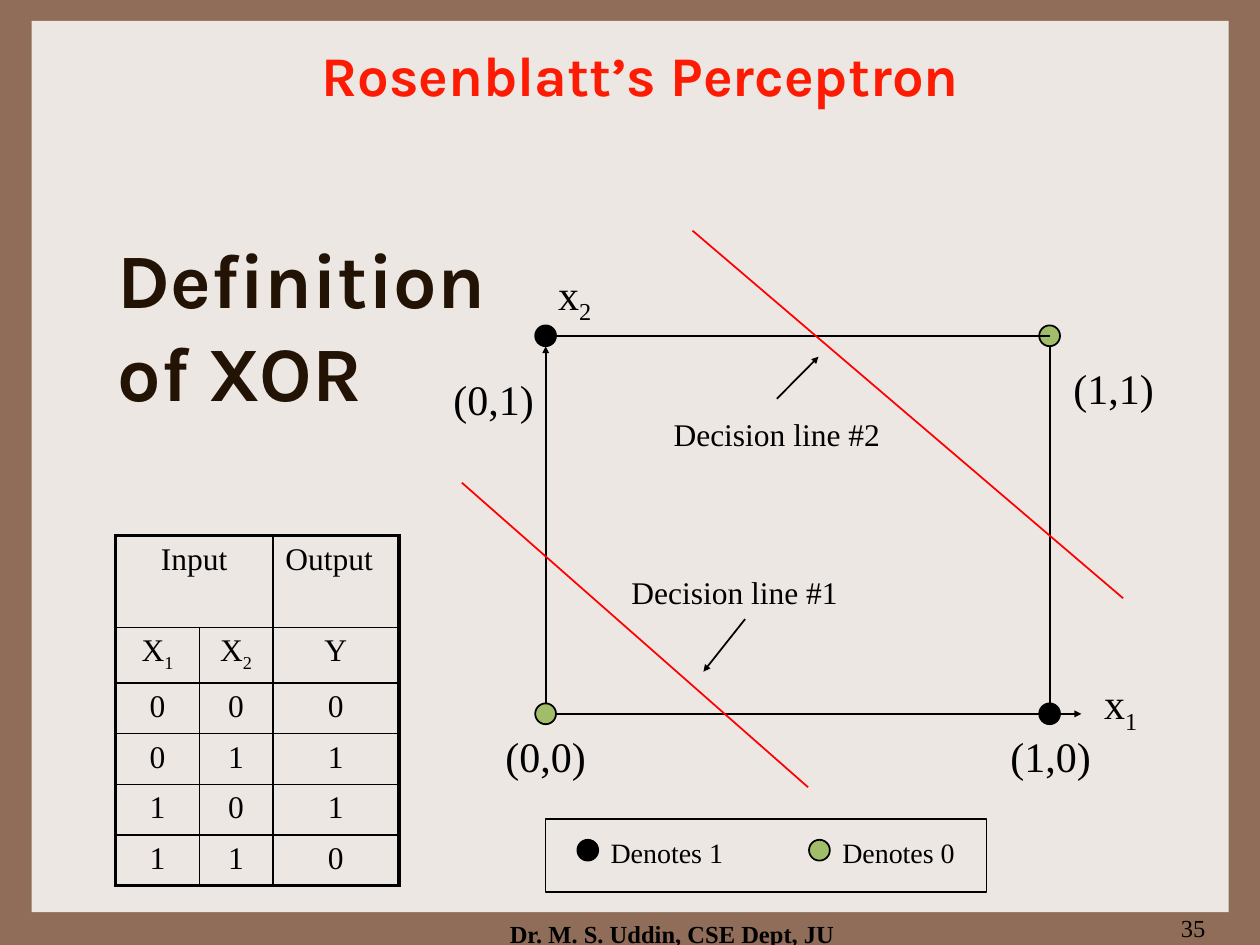
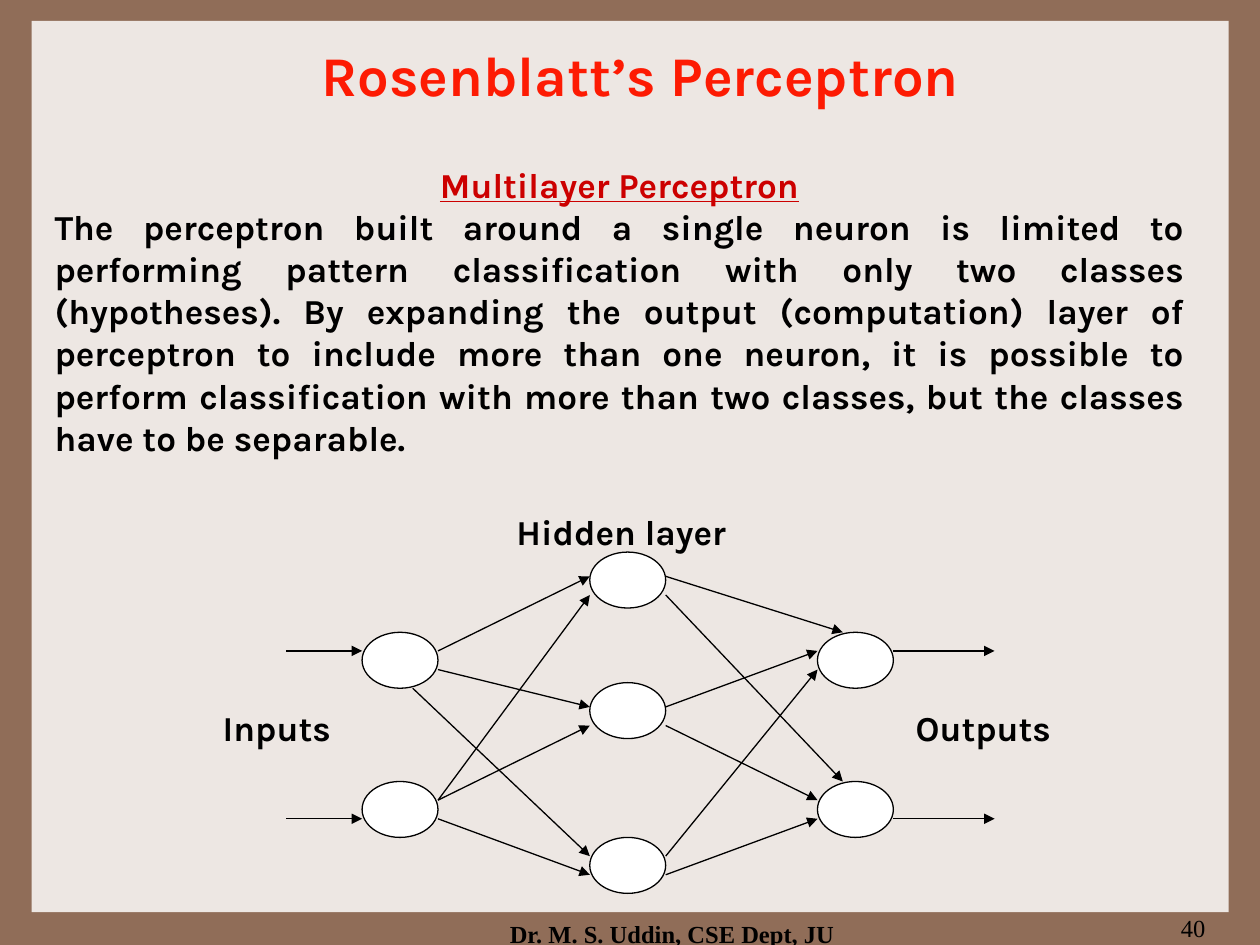
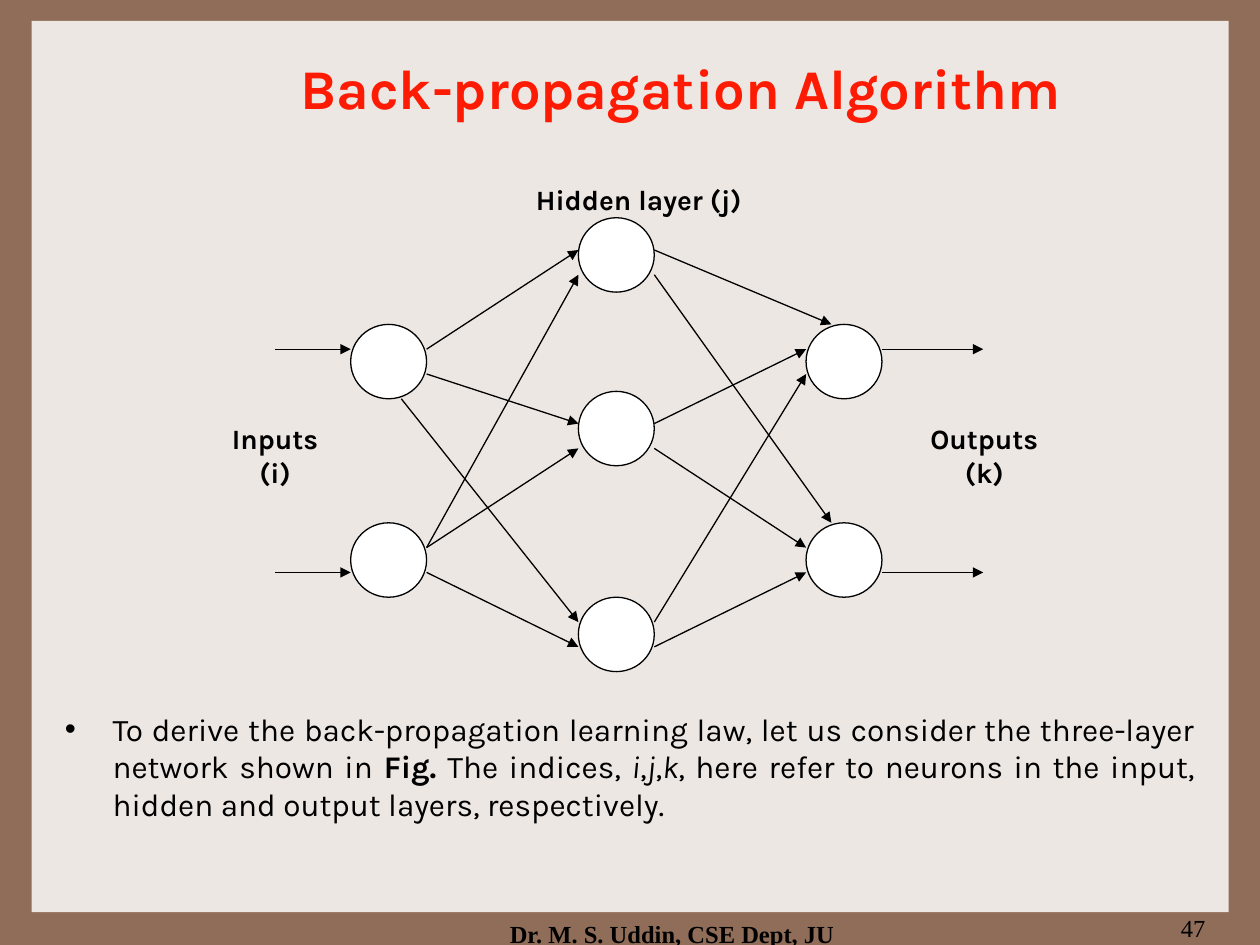
from lxml import etree
from pptx import Presentation
from pptx.dml.color import RGBColor
from pptx.enum import shapes, text
from pptx.oxml import ns
from pptx.util import Cm, Pt

SERIF, SANS = "Times New Roman", "Karla"
BROWN, PAPER, BLACK, WHITE = "906D58", "EDE7E3", "000000", "FFFFFF"
TITLE_RED, RED, DEEP_RED, DARK, GREEN = "FD1B03", "FF0000", "CC0000", "221304", "A1BD69"
LEFT, CENTER, RIGHT, JUSTIFY = (
    text.PP_ALIGN.LEFT, text.PP_ALIGN.CENTER, text.PP_ALIGN.RIGHT, text.PP_ALIGN.JUSTIFY)
OVAL, RECT = shapes.MSO_SHAPE.OVAL, shapes.MSO_SHAPE.RECTANGLE


# Shared helpers
def color(hex_code):
    return RGBColor.from_string(hex_code)


def child(parent, tag, **attributes):
    return etree.SubElement(parent, ns.qn(tag), attributes)


def style(para, size, font=SERIF, ink=BLACK, bold=False, align=LEFT):
    para.alignment = align
    for span in para.runs:
        span.font.size = Pt(size)
        span.font.name = font
        span.font.bold = bold
        span.font.color.rgb = color(ink)


def add_subscript(para, digit):
    span = para.add_run()
    span.text = digit
    span._r.get_or_add_rPr().set("baseline", "-25000")


def add_label(page, box, words, size, subscript="", **look):
    frame = page.shapes.add_textbox(*map(Cm, box)).text_frame
    frame.word_wrap = True
    frame.text = words
    if subscript:
        add_subscript(frame.paragraphs[0], subscript)
    for para in frame.paragraphs:
        style(para, size, **look)
    return frame


def add_figure(page, kind, box, fill=None, line=None, width=1):
    shape = page.shapes.add_shape(kind, *map(Cm, box))
    shape.shadow.inherit = False
    if fill:
        shape.fill.solid()
        shape.fill.fore_color.rgb = color(fill)
    else:
        shape.fill.background()
    if line:
        shape.line.color.rgb = color(line)
        shape.line.width = Pt(width)
    else:
        shape.line.fill.background()
    return shape


def add_line(page, start, end, ink=BLACK, width=1, head=None):
    """Draw a line; head is the arrowhead size, such as "sm" or "med"."""
    line = page.shapes.add_connector(
        shapes.MSO_CONNECTOR.STRAIGHT, *map(Cm, (*start, *end)))
    line.line.color.rgb = color(ink)
    line.line.width = Pt(width)
    if head:
        child(line.line._get_or_add_ln(), "a:tailEnd", type="triangle", w=head, len=head)
    child(line._element.spPr, "a:effectLst")


# Page frame: panel on the master, then title, footer and number on each page
def set_master(deck, page):
    master = deck.slide_master
    master.background.fill.solid()
    master.background.fill.fore_color.rgb = color(BROWN)
    panel = add_figure(page, RECT, (0.64, 0.42, 24.13, 17.97), PAPER)
    master.shapes[0]._element.addprevious(panel._element)


def add_page(deck, heading, number, title_box=(1.7, 0.85, 22.43, 1.27)):
    page = deck.slides.add_slide(deck.slide_layouts[5])
    title = page.shapes.title
    title.left, title.top, title.width, title.height = map(Cm, title_box)
    frame = title.text_frame
    frame.text = heading
    frame.auto_size = text.MSO_AUTO_SIZE.NONE
    frame.vertical_anchor = text.MSO_ANCHOR.MIDDLE
    style(frame.paragraphs[0], 32, SANS, TITLE_RED, True, CENTER)
    add_label(page, (9.53, 18.4, 8.04, 0.65), "Dr. M. S. Uddin, CSE Dept, JU", 14,
              bold=True, align=CENTER)
    add_label(page, (19.26, 18.29, 5.29, 0.76), str(number), 14, align=RIGHT)
    return page


# XOR truth table
def set_borders(cell, widths):
    properties = cell._tc.get_or_add_tcPr()
    for place, (side, width) in enumerate(widths.items()):
        line = etree.Element(ns.qn(f"a:ln{side}"), w=str(Pt(width)))
        child(child(line, "a:solidFill"), "a:srgbClr", val=BLACK)
        properties.insert(place, line)


def add_truth_table(page, box):
    rows = [("Input", "", "Output"), ("X1", "X2", "Y"),
            ("0", "0", "0"), ("0", "1", "1"), ("1", "0", "1"), ("1", "1", "0")]
    grid = page.shapes.add_table(len(rows), 3, *map(Cm, box)).table
    grid.first_row = grid.horz_banding = False
    for column, width in zip(grid.columns, (1.69, 1.48, 2.54)):
        column.width = Cm(width)
    for row, height in zip(grid.rows, (1.85, 1.06, 1.02, 1.02, 1.02, 1.02)):
        row.height = Cm(height)
    grid.cell(0, 0).merge(grid.cell(0, 1))
    for i, values in enumerate(rows):
        for j, value in enumerate(values):
            cell = grid.cell(i, j)
            cell.fill.background()
            set_borders(cell, {"L": 1 if j else 2.25, "R": 2.25 if j == 2 else 1,
                               "T": 1 if i else 2.25, "B": 2.25 if i == 5 else 1})
            para = cell.text_frame.paragraphs[0]
            if value.startswith("X"):
                para.text = value[0]
                add_subscript(para, value[1])
            else:
                para.text = value
            style(para, 18, align=LEFT if value == "Output" else CENTER)


# XOR plane with its two decision lines
def add_dot(page, x, y, fill):
    size = 0.42
    add_figure(page, OVAL, (x - size / 2, y - size / 2, size, size), fill, BLACK)


def add_xor_plane(page, box):
    left, top, width, height = box

    def at(x, y):
        return left + x, top + y

    # Axes and right side
    add_line(page, at(0, height), at(0, 0.21), head="sm")
    add_line(page, at(0, height), at(width + 0.64, height), head="sm")
    add_line(page, at(width, height), at(width, 0))

    # Corners and top side
    for x, y, fill in ((0, 0, BLACK), (width, height, BLACK),
                       (width, 0, GREEN), (0, height, GREEN)):
        add_dot(page, *at(x, y), fill)
    add_line(page, at(0, 0), at(width, 0))

    # Decision lines and their pointers
    add_line(page, at(2.96, -2.12), at(11.64, 5.29), RED)
    add_line(page, at(-1.69, 2.96), at(5.29, 9.1), RED)
    add_line(page, at(4.66, 1.27), at(5.5, 0.42), head="sm")
    add_line(page, at(4.02, 5.71), at(3.18, 6.77), head="sm")

    # Labels
    for x, y, words, subscript, size in (
            (0, -1.49, "x", "2", 24), (11.01, 6.77, "x", "1", 24),
            (-2.11, 0.64, "(0,1)", "", 24), (10.39, 0.41, "(1,1)", "", 24),
            (-1.06, 7.83, "(0,0)", "", 24), (9.12, 7.83, "(1,0)", "", 24),
            (2.33, 1.48, "Decision line #2", "", 18),
            (1.48, 4.66, "Decision line #1", "", 18)):
        label_width = 5.08 if size == 18 else 2.5
        add_label(page, (*at(x, y), label_width, 1.27), words, size, subscript)


def add_legend(page, box):
    left, top = box[:2]
    add_figure(page, RECT, box, line=BLACK)
    for x, fill, words in ((0.85, BLACK, "Denotes 1"), (5.52, GREEN, "Denotes 0")):
        add_dot(page, left + x, top + 0.63, fill)
        add_label(page, (left + x + 0.21, top + 0.2, 2.97, 0.94), words, 16)


# Three-layer network on a grid of 28 by 18.3 steps
NODES = [(3, 4.3), (3, 12.3), (12, 0), (12, 7), (12, 15.3), (21, 4.3), (21, 12.3)]
ARROWS = [
    # Inputs and outputs
    (0, 5.3, 3, 5.3), (0, 14.3, 3, 14.3), (24, 5.3, 28, 5.3), (24, 14.3, 28, 14.3),
    # Input layer to hidden layer
    (6, 5.3, 12, 1.3), (6, 6.3, 12, 8.3), (5, 7.3, 12, 16.3),
    (6, 13.3, 12, 2.3), (6, 13.3, 12, 9.3), (6, 14.3, 12, 17.3),
    # Hidden layer to output layer
    (15, 1.3, 22, 4.3), (15, 2.3, 22, 12.3), (15, 8.3, 21, 5.3),
    (15, 9.3, 21, 13.3), (15, 16.3, 21, 6.3), (15, 17.3, 21, 14.3)]


def add_network(page, box):
    left, top, width, height = box
    step_x, step_y = width / 28, height / 18.3

    def at(x, y):
        return left + x * step_x, top + y * step_y

    for x, y in NODES:
        add_figure(page, OVAL, (*at(x, y), 3 * step_x, 3 * step_y), WHITE, BLACK, 0.75)
    for x1, y1, x2, y2 in ARROWS:
        add_line(page, at(x1, y1), at(x2, y2), width=0.75, head="med")


# Pages
def build_xor_page(deck):
    page = add_page(deck, "Rosenblatt’s Perceptron", 35)
    set_master(deck, page)
    add_label(page, (2.12, 4.55, 8.69, 3.99), "Definition of XOR", 44,
              font=SANS, ink=DARK, bold=True)
    add_truth_table(page, (2.33, 10.8, 5.71, 6.99))
    add_xor_plane(page, (11, 6.77, 10.16, 7.62))
    add_legend(page, (11, 16.51, 8.89, 1.48))


def build_multilayer_page(deck):
    page = add_page(deck, "Rosenblatt’s Perceptron", 40)
    body = add_label(
        page, (0.85, 3.18, 23.28, 6.17),
        "Multilayer Perceptron\n"
        "The perceptron built around a single neuron is limited to performing pattern "
        "classification with only two classes (hypotheses). By expanding the output "
        "(computation) layer of perceptron to include more than one neuron, it is "
        "possible to perform classification with more than two classes, but the classes "
        "have to be separable.", 20, font=SANS, bold=True, align=JUSTIFY)
    heading = body.paragraphs[0]
    style(heading, 20, SANS, DEEP_RED, True, CENTER)
    heading.runs[0].font.underline = True
    add_network(page, (5.77, 11.13, 14.28, 6.88))
    for x, y, width, words in ((4.24, 14.12, 3.07, "Inputs"),
                               (18.21, 14.12, 3.8, "Outputs"),
                               (10.16, 10.16, 5.64, "Hidden layer")):
        add_label(page, (x, y, width, 0.9), words, 20, font=SANS, bold=True)


def build_back_propagation_page(deck):
    page = add_page(deck, "Back-propagation Algorithm", 47, (3.15, 0.7, 21.16, 2.12))
    add_network(page, (5.54, 4.39, 14.28, 9.15))
    for x, y, width, words in ((4.01, 8.38, 3.07, "Inputs\n(i)"),
                               (18.31, 8.38, 3.07, "Outputs (k)"),
                               (10.16, 3.56, 5.44, "Hidden layer (j)")):
        add_label(page, (x, y, width, 1), words, 16, font=SANS, bold=True, align=CENTER)

    # Bulleted explanation
    frame = add_label(page, (1.06, 14.18, 23.28, 3.18), "", 18)
    para = frame.paragraphs[0]
    properties = para._p.get_or_add_pPr()
    properties.set("marL", str(Cm(0.96)))
    properties.set("indent", str(Cm(-0.96)))
    child(properties, "a:buFont", typeface="Arial")
    child(properties, "a:buChar", char="•")
    pieces = ("To derive the back-propagation learning law, let us consider the "
              "three-layer network shown in ", "Fig. ", "The indices, ",
              "i", ",", "j", ",", "k",
              ", here refer to neurons in the input, hidden and output layers, "
              "respectively.")
    for piece in pieces:
        para.add_run().text = piece
    style(para, 18, SANS, align=JUSTIFY)
    for span in para.runs:
        span.font.bold = span.text == "Fig. "
        span.font.italic = span.text in ("i", "j", "k")


def main():
    deck = Presentation()
    deck.slide_width, deck.slide_height = Cm(25.4), Cm(19.05)
    build_xor_page(deck)
    build_multilayer_page(deck)
    build_back_propagation_page(deck)
    deck.save("out.pptx")


if __name__ == "__main__":
    main()
